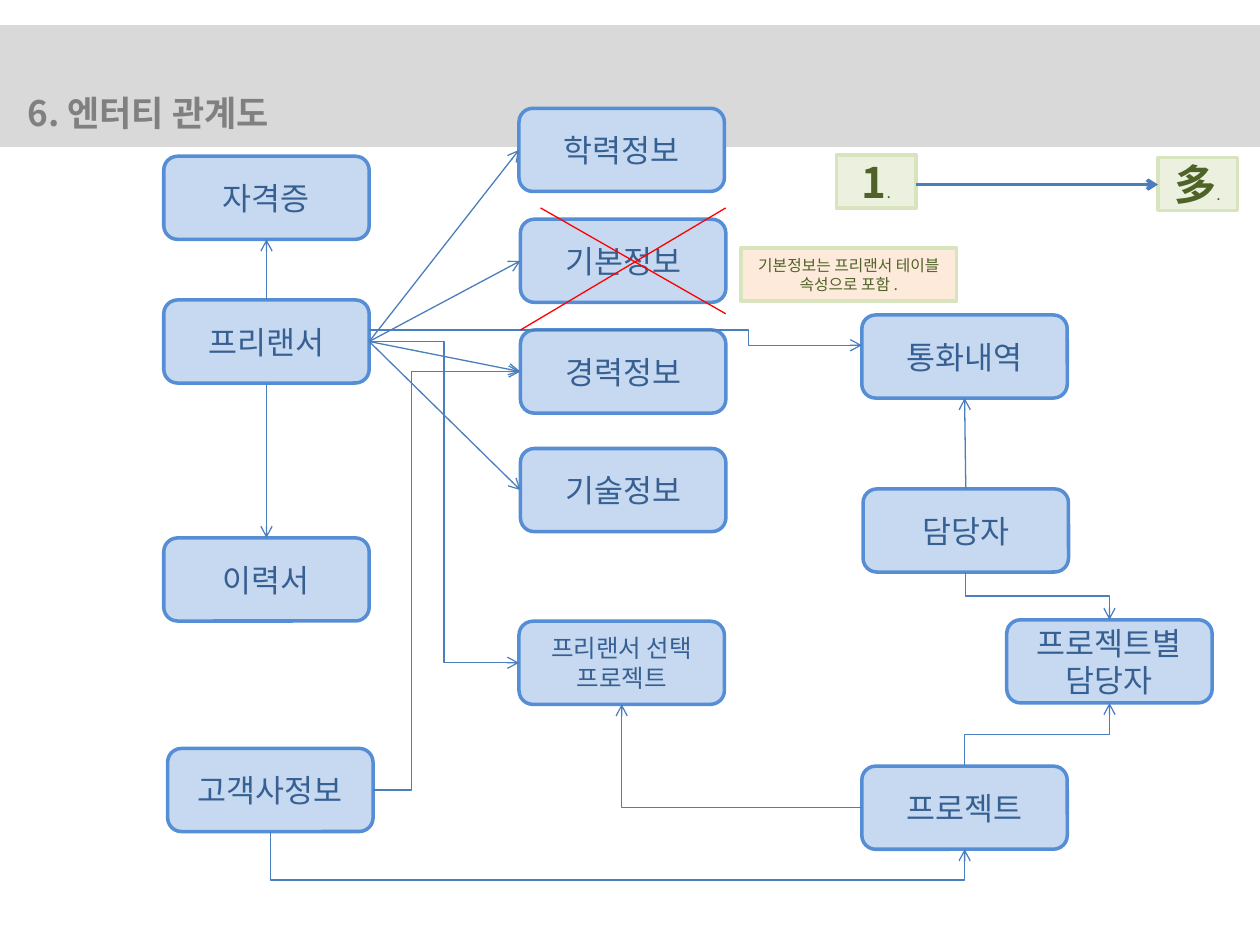
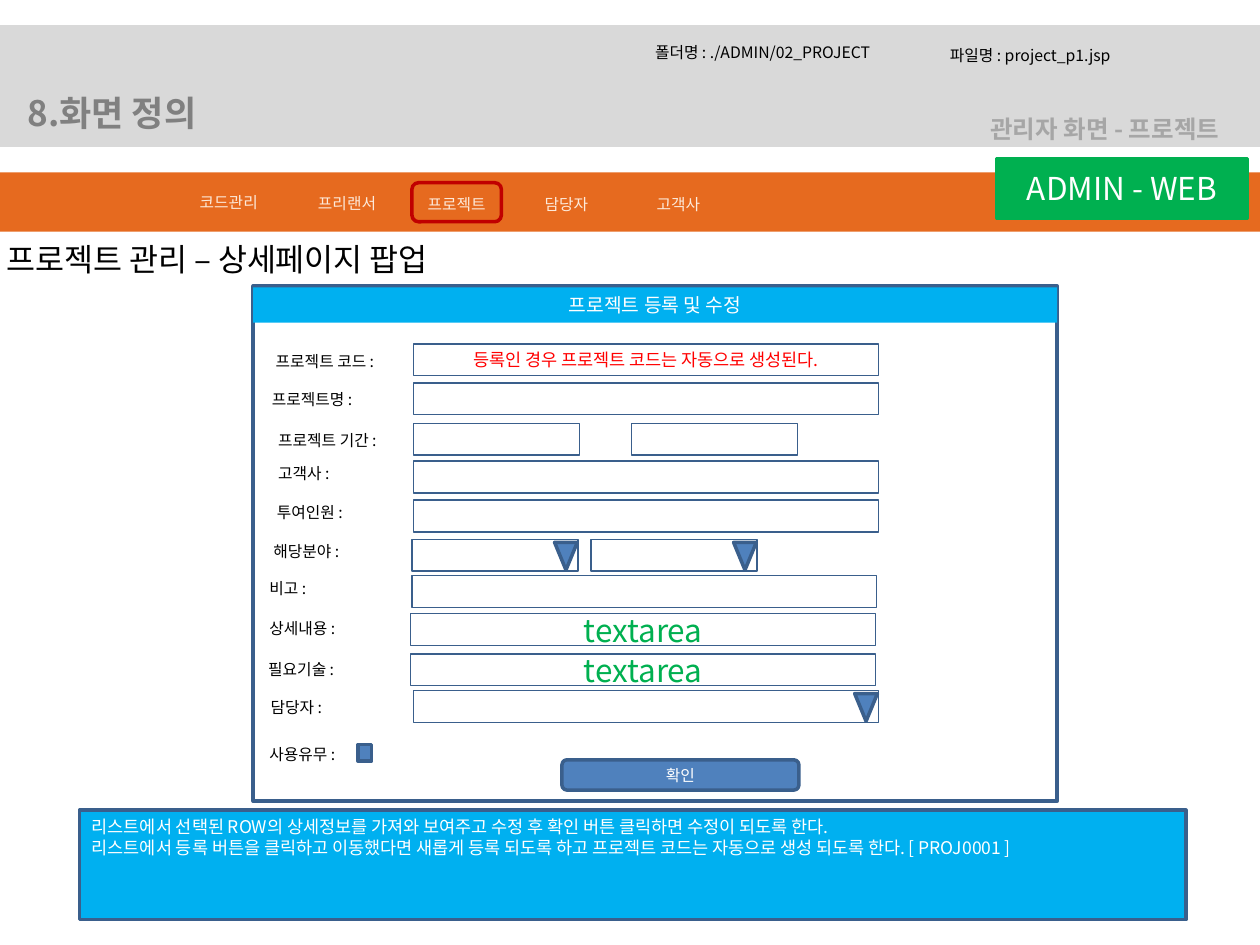
"""Build the entity relationship slide and the project popup screen slide."""
import dataclasses

import lxml.etree
import pptx
import pptx.dml.color
import pptx.enum.shapes
import pptx.enum.text
import pptx.oxml.ns
import pptx.util

Pt = pptx.util.Pt
SHAPE = pptx.enum.shapes.MSO_SHAPE
CONNECTOR = pptx.enum.shapes.MSO_CONNECTOR
ALIGN = pptx.enum.text.PP_ALIGN
ANCHOR = pptx.enum.text.MSO_ANCHOR
qn = pptx.oxml.ns.qn


@dataclasses.dataclass(frozen=True)
class Theme:
    font: str = "Noto Sans CJK KR"
    band: str = "D9D9D9"
    title: str = "808080"
    subtitle: str = "A6A6A6"
    text: str = "000000"
    white: str = "FFFFFF"
    entity_fill: str = "C6D9F1"
    entity_line: str = "558ED5"
    entity_text: str = "376092"
    link: str = "4B7EBC"
    legend_fill: str = "EBF1DE"
    legend_line: str = "D7E4BD"
    legend_text: str = "4F6228"
    cream: str = "FDEADA"
    red: str = "FF0000"
    menu: str = "E66A1F"
    menu_mark: str = "C00000"
    outline: str = "3A5F8C"
    control: str = "4F81BD"
    sky: str = "00B0F0"
    green: str = "00B050"
    title_size: float = 20
    large: float = 18
    legend_size: float = 24
    medium: float = 14
    caption: float = 11
    body: float = 10
    small: float = 9
    thin: float = 0.75
    thick: float = 2


class SlideBuilder:
    def __init__(self, deck, theme):
        self.deck = deck
        self.theme = theme
        self.page = None

    def start(self, title):
        self.page = self.deck.slides.add_slide(self.deck.slide_layouts[6])
        theme = self.theme
        self.shape(0, 15.1, 720, 67.7, theme.band, theme.band)
        self.label(title, 8.6, 49, 272.2, 31.7, theme.title_size, theme.title, bold=True)

    def color(self, value):
        return pptx.dml.color.RGBColor.from_string(value)

    def span(self, para, text, size, color, bold=False):
        span = para.add_run()
        span.text = text
        span.font.size = Pt(size)
        span.font.bold = bold
        span.font.color.rgb = self.color(color)
        span.font.name = self.theme.font
        east_asian = lxml.etree.SubElement(span.font._element, qn("a:ea"))
        east_asian.set("typeface", self.theme.font)

    def label(self, text, x, y, width, height, size, color, bold=False, align=ALIGN.LEFT):
        box = self.page.shapes.add_textbox(Pt(x), Pt(y), Pt(width), Pt(height))
        box.text_frame.word_wrap = True
        box.text_frame.auto_size = pptx.enum.text.MSO_AUTO_SIZE.SHAPE_TO_FIT_TEXT
        para = box.text_frame.paragraphs[0]
        para.alignment = align
        self.span(para, text, size, color, bold)

    def shape(self, x, y, width, height, fill=None, line=None, weight=None, kind=SHAPE.RECTANGLE):
        box = self.page.shapes.add_shape(kind, Pt(x), Pt(y), Pt(width), Pt(height))
        box.shadow.inherit = False
        if fill:
            box.fill.solid()
            box.fill.fore_color.rgb = self.color(fill)
        else:
            box.fill.background()
        if line:
            box.line.color.rgb = self.color(line)
            box.line.width = Pt(weight or self.theme.thick)
        else:
            box.line.fill.background()
        return box

    def caption(self, box, lines, align=ALIGN.CENTER, anchor=ANCHOR.MIDDLE):
        frame = box.text_frame
        frame.word_wrap = True
        frame.vertical_anchor = anchor
        for index, spans in enumerate(lines):
            para = frame.add_paragraph() if index else frame.paragraphs[0]
            para.alignment = align
            for span in spans:
                self.span(para, *span)

    def entity(self, name, x, y, size=None):
        theme = self.theme
        box = self.shape(x, y, 117.4, 47.5, theme.entity_fill, theme.entity_line,
                         kind=SHAPE.ROUNDED_RECTANGLE)
        self.caption(box, [[(name, size or theme.large, theme.entity_text)]])
        return box

    def legend(self, symbol, x, y):
        theme = self.theme
        box = self.shape(x, y, 45.4, 30.2, theme.legend_fill, theme.legend_line)
        self.caption(box, [[(symbol, theme.legend_size, theme.legend_text, True),
                            (".", theme.small, theme.legend_text)]])
        return box

    def side(self, box, name):
        center_x, center_y = box.left + box.width // 2, box.top + box.height // 2
        return {
            "top": (center_x, box.top),
            "left": (box.left, center_y),
            "bottom": (center_x, box.top + box.height),
            "right": (box.left + box.width, center_y),
        }[name]

    def line(self, begin, end, color=None, weight=None, arrow=True, kind=CONNECTOR.STRAIGHT):
        link = self.page.shapes.add_connector(kind, *begin, *end)
        link.line.color.rgb = self.color(color or self.theme.link)
        link.line.width = Pt(weight or self.theme.thin)
        properties = link._element.spPr
        if arrow:
            tail = lxml.etree.SubElement(properties.find(qn("a:ln")), qn("a:tailEnd"))
            tail.set("type", "arrow")
        lxml.etree.SubElement(properties, qn("a:effectLst"))
        return link

    def elbow(self, begin, end, bend=0.5, vertical=False, corner=False):
        if vertical:
            middle_x, middle_y = (begin[0] + end[0]) // 2, (begin[1] + end[1]) // 2
            half_x, half_y = (end[0] - begin[0]) // 2, (end[1] - begin[1]) // 2
            begin = middle_x + half_y, middle_y - half_x
            end = middle_x - half_y, middle_y + half_x
        link = self.line(begin, end, kind=CONNECTOR.ELBOW)
        properties = link._element.spPr
        if vertical:
            properties.find(qn("a:xfrm")).set("rot", str(270 * 60000))
        geometry = properties.find(qn("a:prstGeom"))
        if corner:
            geometry.set("prst", "bentConnector2")
        elif bend != 0.5:
            values = geometry.find(qn("a:avLst"))
            if values is None:
                values = lxml.etree.SubElement(geometry, qn("a:avLst"))
            guide = lxml.etree.SubElement(values, qn("a:gd"))
            guide.set("name", "adj1")
            guide.set("fmla", f"val {round(bend * 100000)}")

    def field(self, x, y, width, text=None, size=None, color=None, dropdown=False):
        theme = self.theme
        box = self.shape(x, y, width, 18.2, line=theme.outline, weight=theme.thin)
        if text:
            self.caption(box, [[(text, size, color)]])
        if dropdown:
            arrow = self.shape(x + width - 13.5, y + 1.7, 13, 15.8, theme.control, theme.outline,
                               kind=SHAPE.ISOSCELES_TRIANGLE)
            arrow.rotation = 180


def build_entities(builder):
    theme = builder.theme
    builder.start("6. 엔터티 관계도")
    places = {
        "프리랜서": (93.6, 171.4),
        "프로젝트": (492.5, 437.8),
        "기본정보": (297.4, 125.3),
        "이력서": (93.6, 307.4),
        "경력정보": (297.4, 188.6),
        "기술정보": (297.4, 256.3),
        "담당자": (493.2, 279.4),
        "프리랜서 선택 프로젝트": (296.6, 355, theme.medium),
        "프로젝트별 담당자": (575.3, 354.2),
        "자격증": (93.6, 89.3),
        "학력정보": (296.6, 61.9),
        "고객사정보": (95.8, 427.7),
        "통화내역": (492.5, 180),
    }
    boxes = {name: builder.entity(name, *place) for name, place in places.items()}

    def at(name, side):
        return builder.side(boxes[name], side)

    for source, source_side, target, target_side in (
        ("프리랜서", "bottom", "이력서", "top"),
        ("프리랜서", "top", "자격증", "bottom"),
        ("프리랜서", "right", "학력정보", "left"),
        ("프리랜서", "right", "기본정보", "left"),
        ("프리랜서", "right", "경력정보", "left"),
        ("프리랜서", "right", "기술정보", "left"),
        ("담당자", "top", "통화내역", "bottom"),
    ):
        builder.line(at(source, source_side), at(target, target_side))

    selected = "프리랜서 선택 프로젝트"
    manager = "프로젝트별 담당자"
    builder.elbow(at("프로젝트", "left"), at(selected, "bottom"), corner=True)
    builder.elbow(at("프리랜서", "right"), at(selected, "left"))
    builder.elbow(at("담당자", "bottom"), at(manager, "top"), vertical=True)
    builder.elbow(at("프로젝트", "top"), at(manager, "bottom"), vertical=True)
    builder.elbow(at("고객사정보", "right"), at("경력정보", "left"), bend=0.26)
    builder.elbow(at("고객사정보", "bottom"), at("프로젝트", "bottom"), bend=2.74, vertical=True)
    builder.elbow((Pt(210.6), Pt(188.6)), (Pt(492.5), Pt(197.3)), bend=0.77)

    one = builder.legend("1", 478.1, 88.6)
    many = builder.legend("多", 661.7, 90)
    start = builder.side(one, "right")
    builder.line((start[0], Pt(105.5)), (many.left, Pt(105.5)), weight=theme.thick)

    for begin, end in (((308.9, 118.8), (414.7, 179.3)), ((414.7, 118.8), (297.4, 188.6))):
        builder.line(map(Pt, begin), map(Pt, end), color=theme.red, arrow=False)
    remark = builder.shape(423.4, 141.8, 123.1, 30.2, theme.cream, theme.legend_line)
    builder.caption(remark, [[("기본정보는 프리랜서 테이블 속성으로 포함 .", theme.small, theme.legend_text)]])


def build_popup(builder):
    theme = builder.theme
    builder.start("8.화면 정의")
    builder.label("폴더명 : ./ADMIN/02_PROJECT", 367.2, 20.9, 159.1, 18, theme.small, theme.text)
    builder.label("파일명 : project_p1.jsp", 535.7, 22.3, 171.4, 18, theme.small, theme.text)
    builder.label("관리자 화면 - 프로젝트", 558.7, 61.9, 190, 24.5, theme.medium,
                  theme.subtitle, bold=True)

    builder.shape(-0.7, 98.6, 722.9, 33.8, theme.menu)
    builder.shape(235.4, 104.4, 51.1, 22.3, line=theme.menu_mark, kind=SHAPE.ROUNDED_RECTANGLE)
    for text, x, y in (
        ("코드관리", 99.4, 106.6),
        ("프리랜서", 167, 107.3),
        ("프로젝트", 229.7, 108),
        ("담당자", 292.3, 108),
        ("고객사", 356.4, 108),
    ):
        builder.label(text, x, y, 62.6, 18, theme.small, theme.cream, align=ALIGN.CENTER)
    badge = builder.shape(569.5, 90.7, 143.3, 33.8, theme.green, theme.green)
    builder.caption(badge, [[("ADMIN - WEB", theme.large, theme.white)]])

    builder.label("프로젝트 관리 – 상세페이지 팝업", -3.6, 133.9, 352.1, 28.8, theme.large, theme.text)
    builder.shape(144.7, 163.4, 459.4, 294.5, line=theme.outline)
    heading = builder.shape(144.7, 164.2, 459.4, 20.2, theme.sky)
    builder.caption(heading, [[("프로젝트 등록 및 수정", theme.caption, theme.white)]])

    for text, x, y in (
        ("프로젝트 코드 :", 150.5, 197.3),
        ("프로젝트명 :", 148.3, 218.9),
        ("프로젝트 기간 :", 151.9, 242.6),
        ("고객사 :", 151.9, 261.4),
        ("투여인원 :", 151.2, 283.7),
        ("해당분야 :", 149.2, 306),
        ("비고 :", 146.9, 326.9),
        ("상세내용 :", 146.9, 349.9),
        ("필요기술 :", 146.2, 373.7),
        ("담당자 :", 147.6, 395.3),
        ("사용유무 :", 146.9, 421.9),
    ):
        builder.label(text, x, y, 149, 18, theme.small, theme.text)

    wide, narrow = 265.7, 95
    builder.field(236.2, 196.6, wide, "등록인 경우 프로젝트 코드는 자동으로 생성된다.", theme.body, theme.red)
    for x, y, width in (
        (236.2, 218.9, wide),
        (236.2, 241.9, narrow),
        (360.7, 241.9, narrow),
        (236.2, 263.5, wide),
        (236.2, 285.8, wide),
        (235.4, 329, wide),
    ):
        builder.field(x, y, width)
    for x, y, width in ((235.4, 308.2, narrow), (337.7, 308.2, narrow), (236.2, 394.6, wide)):
        builder.field(x, y, width, dropdown=True)
    for y in (350.6, 373.7):
        builder.field(234.7, y, wide, "textarea", theme.large, theme.green)

    builder.shape(204.5, 425.5, 7.9, 9.4, theme.control, theme.outline)
    button = builder.shape(321.1, 434.2, 135.4, 17.3, theme.control, theme.outline,
                           kind=SHAPE.ROUNDED_RECTANGLE)
    builder.caption(button, [[("확인", theme.small, theme.white)]])

    guide = builder.shape(45.4, 463, 632.2, 62.6, theme.sky, theme.outline)
    sentences = (
        "리스트에서 선택된 ROW의 상세정보를 가져와 보여주고 수정 후 확인 버튼 클릭하면 수정이 되도록 한다.",
        "리스트에서 등록 버튼을 클릭하고 이동했다면 새롭게 등록 되도록 하고 "
        "프로젝트 코드는 자동으로 생성 되도록 한다. [ PROJ0001 ]",
    )
    builder.caption(guide, [[(sentence, theme.body, theme.white)] for sentence in sentences],
                    ALIGN.LEFT, ANCHOR.TOP)


deck = pptx.Presentation()
deck.slide_width, deck.slide_height = Pt(720), Pt(540)
slides = SlideBuilder(deck, Theme())
build_entities(slides)
build_popup(slides)
deck.save("out.pptx")
